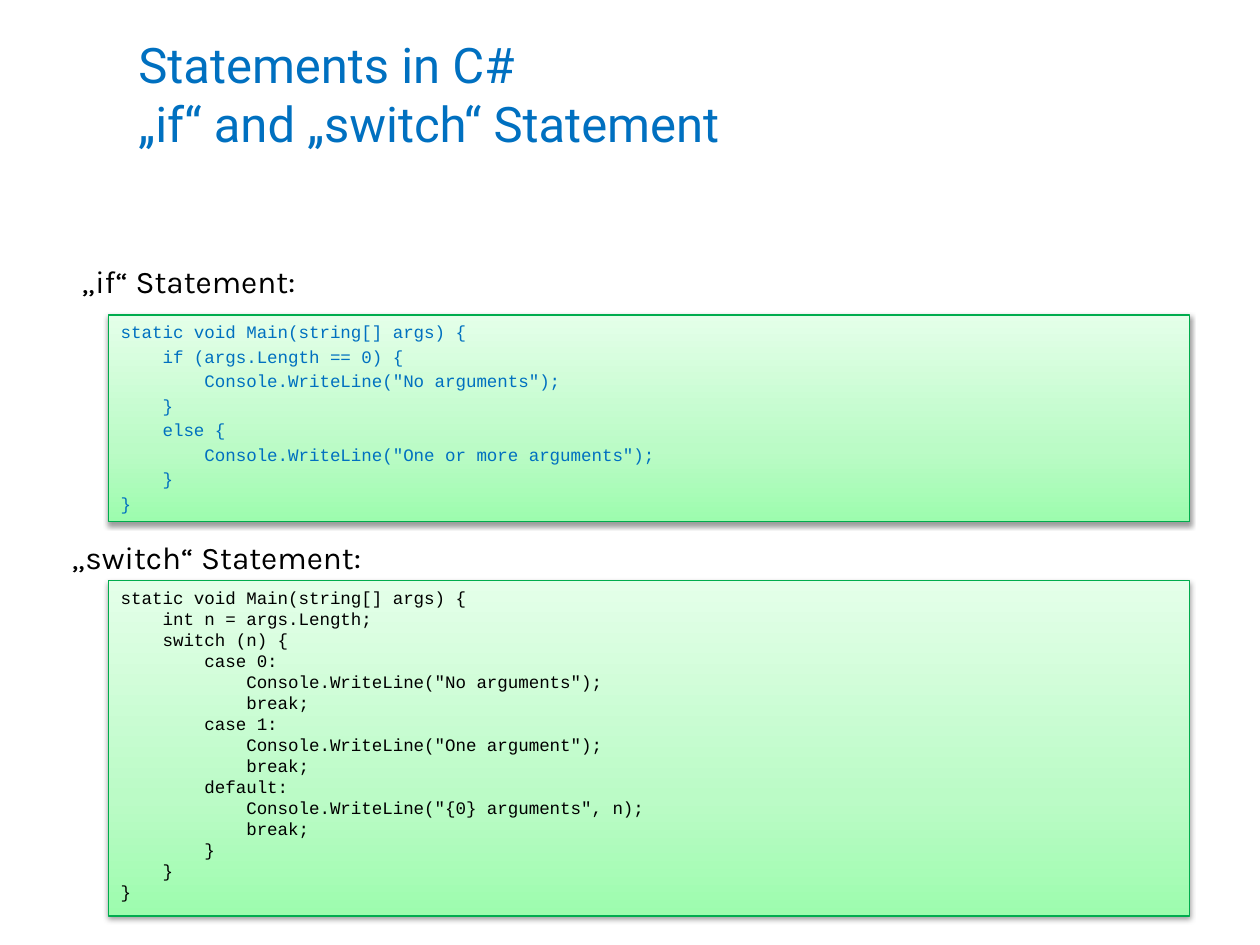
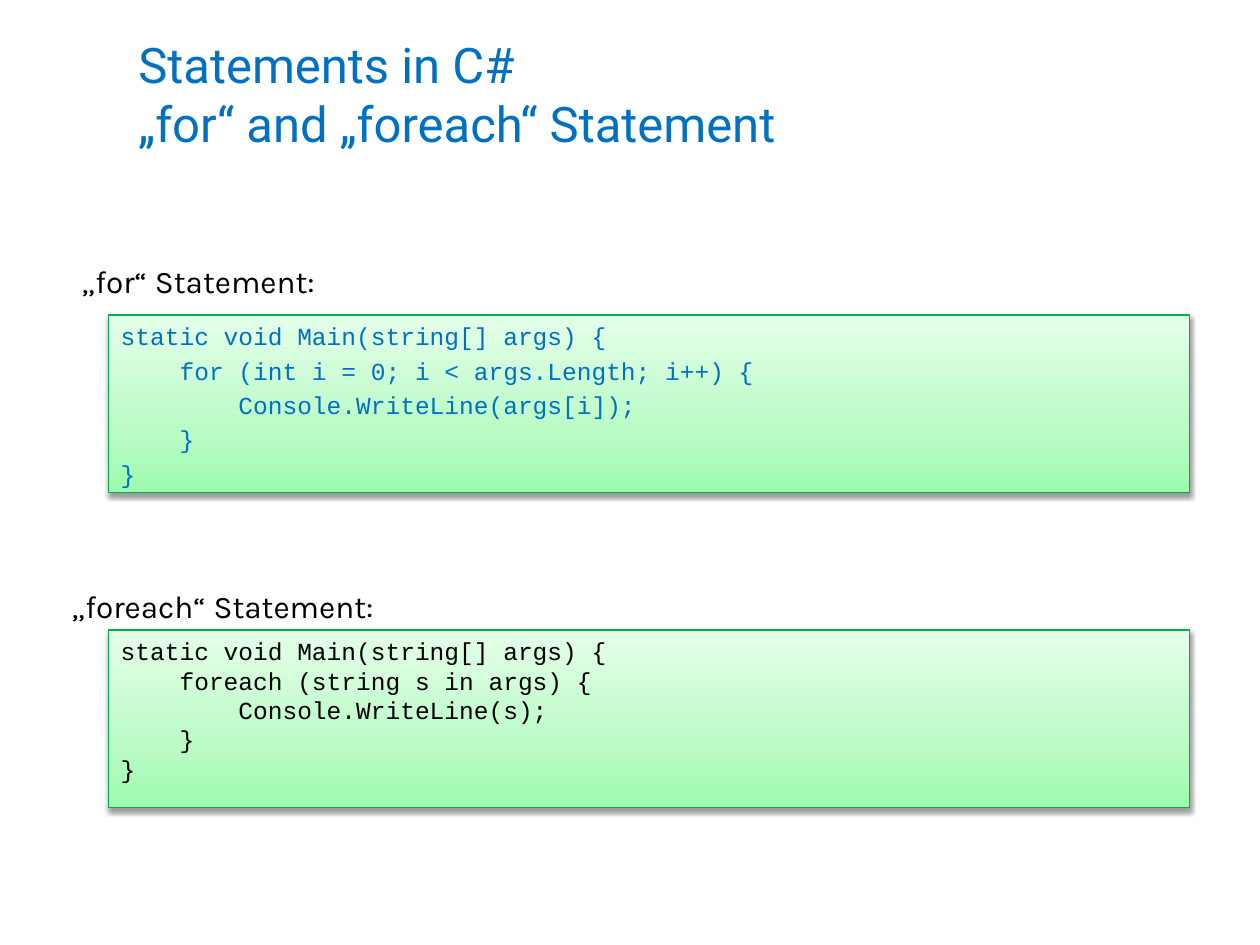
from lxml.etree import SubElement
from pptx import Presentation
from pptx.dml.color import RGBColor
from pptx.enum.shapes import MSO_SHAPE
from pptx.enum.text import MSO_ANCHOR, MSO_AUTO_SIZE, PP_ALIGN
from pptx.oxml.ns import qn
from pptx.util import Inches, Pt

BLUE = RGBColor(0x00, 0x70, 0xC0)
BLACK = RGBColor(0x00, 0x00, 0x00)
BORDER_GREEN = RGBColor(0x00, 0xAC, 0x4E)
GREEN_STOPS = [
    (0, RGBColor(0x9D, 0xFC, 0xAE)),
    (35, RGBColor(0xBB, 0xFB, 0xC6)),
    (100, RGBColor(0xE4, 0xFF, 0xE9)),
]
TITLE_FONT, LABEL_FONT, CODE_FONT = "Roboto", "Karla", "Courier New"
CODE_LEFT, CODE_WIDTH = 0.86, 8.58
FIRST_CODE_TOP = 2.5
LABEL_HEIGHT = 0.4

IF_CODE = """\
static void Main(string[] args) {
    if (args.Length == 0) {
        Console.WriteLine("No arguments");
    }
    else {
        Console.WriteLine("One or more arguments");
    }
}"""

SWITCH_CODE = """\
static void Main(string[] args) {
    int n = args.Length;
    switch (n) {
        case 0:
            Console.WriteLine("No arguments");
            break;
        case 1:
            Console.WriteLine("One argument");
            break;
        default:
            Console.WriteLine("{0} arguments", n);
            break;
        }
    }
}"""

FOR_CODE = """\
static void Main(string[] args) {
    for (int i = 0; i < args.Length; i++) {
        Console.WriteLine(args[i]);
    }
}"""

FOREACH_CODE = """\
static void Main(string[] args) {
    foreach (string s in args) {
        Console.WriteLine(s);
    }
}"""


def format_text(text_frame, font_name, size, color):
    for paragraph in text_frame.paragraphs:
        paragraph.alignment = PP_ALIGN.LEFT
        for run in paragraph.runs:
            run.font.name = font_name
            run.font.size = Pt(size)
            run.font.color.rgb = color


def add_color(parent, color):
    return SubElement(parent, qn("a:srgbClr"), val=str(color))


def fill_with_gradient(shape):
    """Fill from dark green at the bottom to light green at the top."""
    shape.fill.gradient()
    gradient = shape._element.spPr.find(qn("a:gradFill"))
    for child in list(gradient):
        gradient.remove(child)
    stops = SubElement(gradient, qn("a:gsLst"))
    for percent, color in GREEN_STOPS:
        add_color(SubElement(stops, qn("a:gs"), pos=str(percent * 1000)), color)
    SubElement(gradient, qn("a:lin"), ang=str(270 * 60000), scaled="0")


def add_soft_shadow(shape):
    shape.shadow.inherit = False
    effects = shape._element.spPr.find(qn("a:effectLst"))
    shadow = SubElement(effects, qn("a:outerShdw"), blurRad=str(Pt(3.1)),
                        dist=str(Pt(1.6)), dir=str(90 * 60000), rotWithShape="0")
    SubElement(add_color(shadow, BLACK), qn("a:alpha"), val="38000")


def add_title(slide, title):
    text_box = slide.shapes.add_textbox(
        Inches(1), Inches(0.17), Inches(8.75), Inches(1.14))
    text_frame = text_box.text_frame
    text_frame.word_wrap = True
    text_frame.vertical_anchor = MSO_ANCHOR.MIDDLE
    text_frame.text = title
    format_text(text_frame, TITLE_FONT, 28, BLUE)


def add_label(slide, left, top, width, label):
    text_box = slide.shapes.add_textbox(
        Inches(left), Inches(top), Inches(width), Inches(LABEL_HEIGHT))
    text_frame = text_box.text_frame
    text_frame.word_wrap = False
    text_frame.auto_size = MSO_AUTO_SIZE.SHAPE_TO_FIT_TEXT
    text_frame.text = label
    format_text(text_frame, LABEL_FONT, 18, BLACK)


def add_code_box(slide, top, height, code, size, color, line_gap=0):
    """Draw a code listing; line_gap is a share of the text size."""
    box = slide.shapes.add_shape(
        MSO_SHAPE.RECTANGLE, Inches(CODE_LEFT), Inches(top),
        Inches(CODE_WIDTH), Inches(height))
    fill_with_gradient(box)
    box.line.color.rgb = BORDER_GREEN
    box.line.width = Pt(0.75)
    add_soft_shadow(box)
    text_frame = box.text_frame
    text_frame.word_wrap = True
    text_frame.vertical_anchor = MSO_ANCHOR.TOP
    text_frame.text = code
    format_text(text_frame, CODE_FONT, size, color)
    for paragraph in text_frame.paragraphs[1:]:
        paragraph.space_before = Pt(size * line_gap)


def add_statement_slide(presentation, keywords, codes, code_size,
                        second_top, heights, label_widths):
    """Add a slide that shows two statements, one above the other."""
    slide = presentation.slides.add_slide(presentation.slide_layouts[6])
    first, second = (f"„{keyword}“" for keyword in keywords)
    add_title(slide, f"Statements in C#\v{first} and {second} Statement")
    add_code_box(slide, FIRST_CODE_TOP, heights[0], codes[0], code_size, BLUE, 0.2)
    add_code_box(slide, second_top, heights[1], codes[1], code_size, BLACK)
    add_label(slide, 0.55, 2.03, label_widths[0], f"{first} Statement:")
    add_label(slide, 0.47, second_top - LABEL_HEIGHT + 0.01, label_widths[1],
              f"{second} Statement:")


def main():
    presentation = Presentation()
    presentation.slide_width = Inches(10)
    presentation.slide_height = Inches(7.5)
    add_statement_slide(presentation, ("if", "switch"), (IF_CODE, SWITCH_CODE),
                        code_size=10, second_top=4.61, heights=(1.64, 2.66),
                        label_widths=(2.13, 2.76))
    add_statement_slide(presentation, ("for", "foreach"), (FOR_CODE, FOREACH_CODE),
                        code_size=14, second_top=5, heights=(1.41, 1.41),
                        label_widths=(2.31, 2.91))
    presentation.save("out.pptx")


if __name__ == "__main__":
    main()
